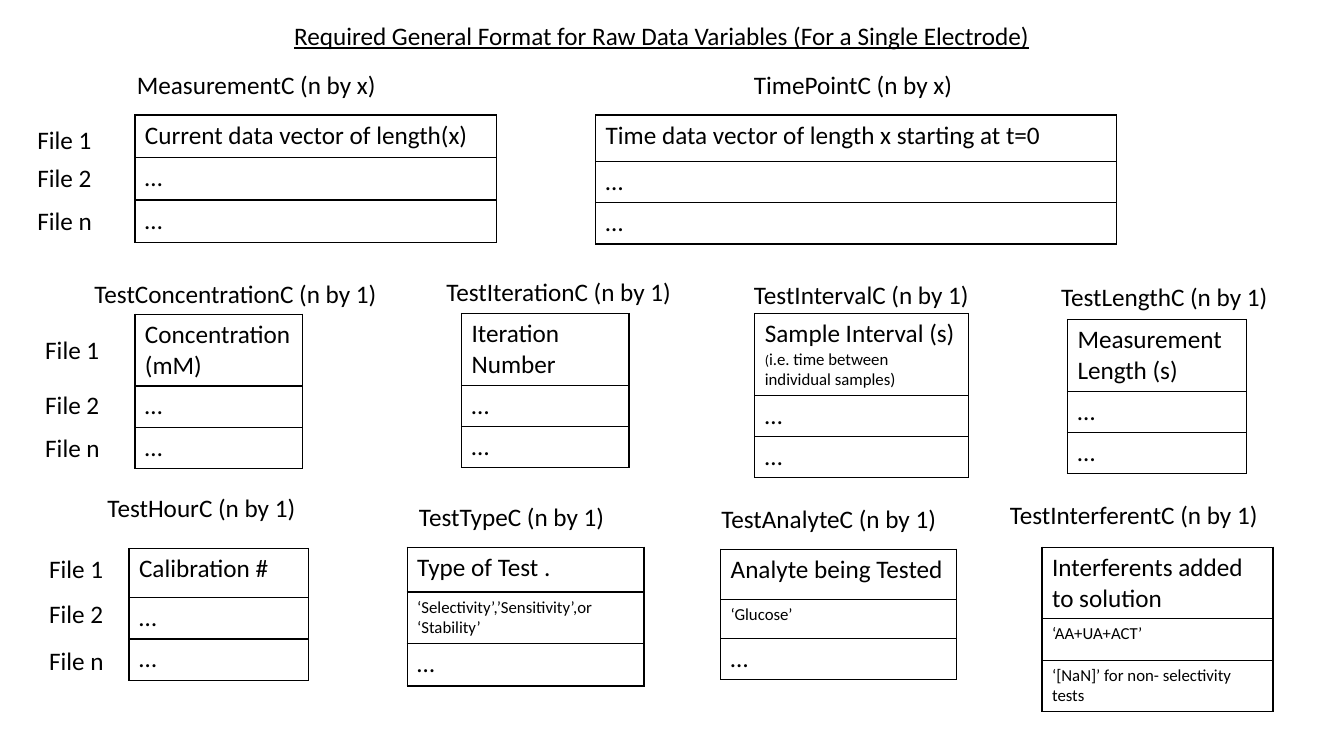
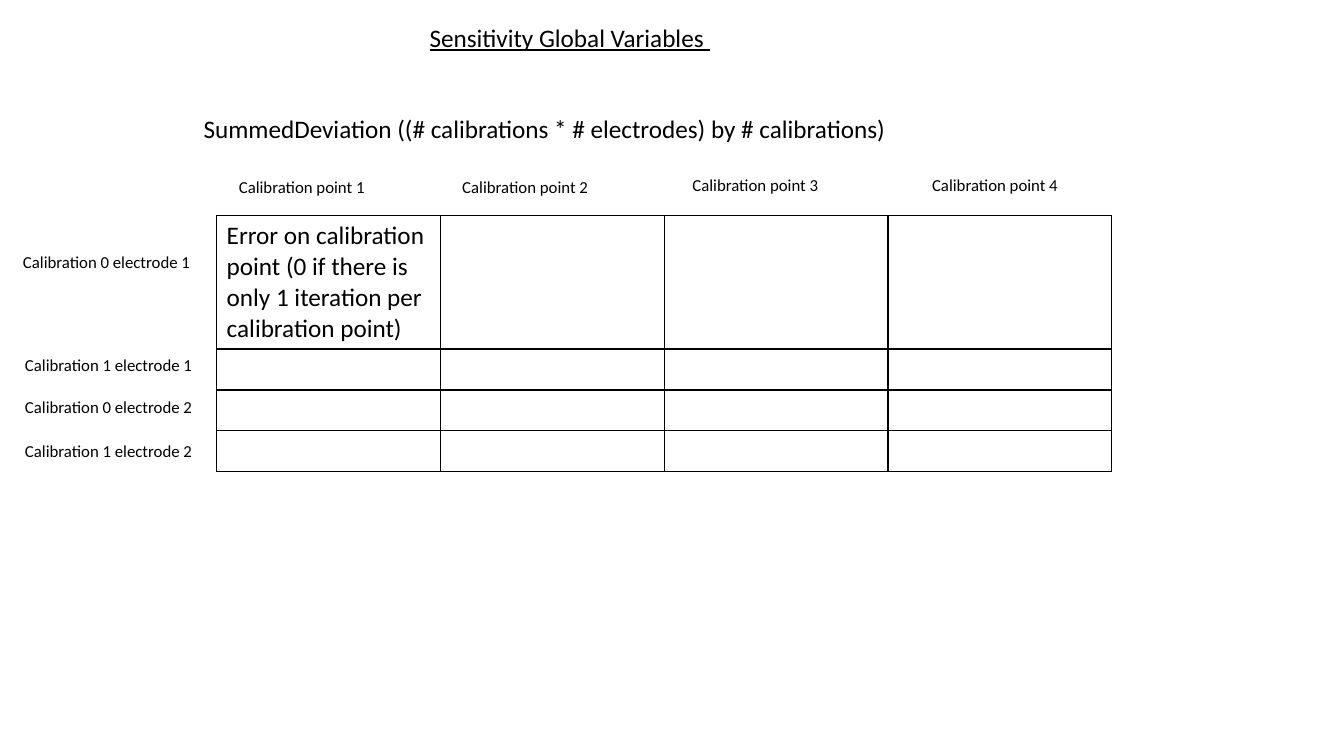
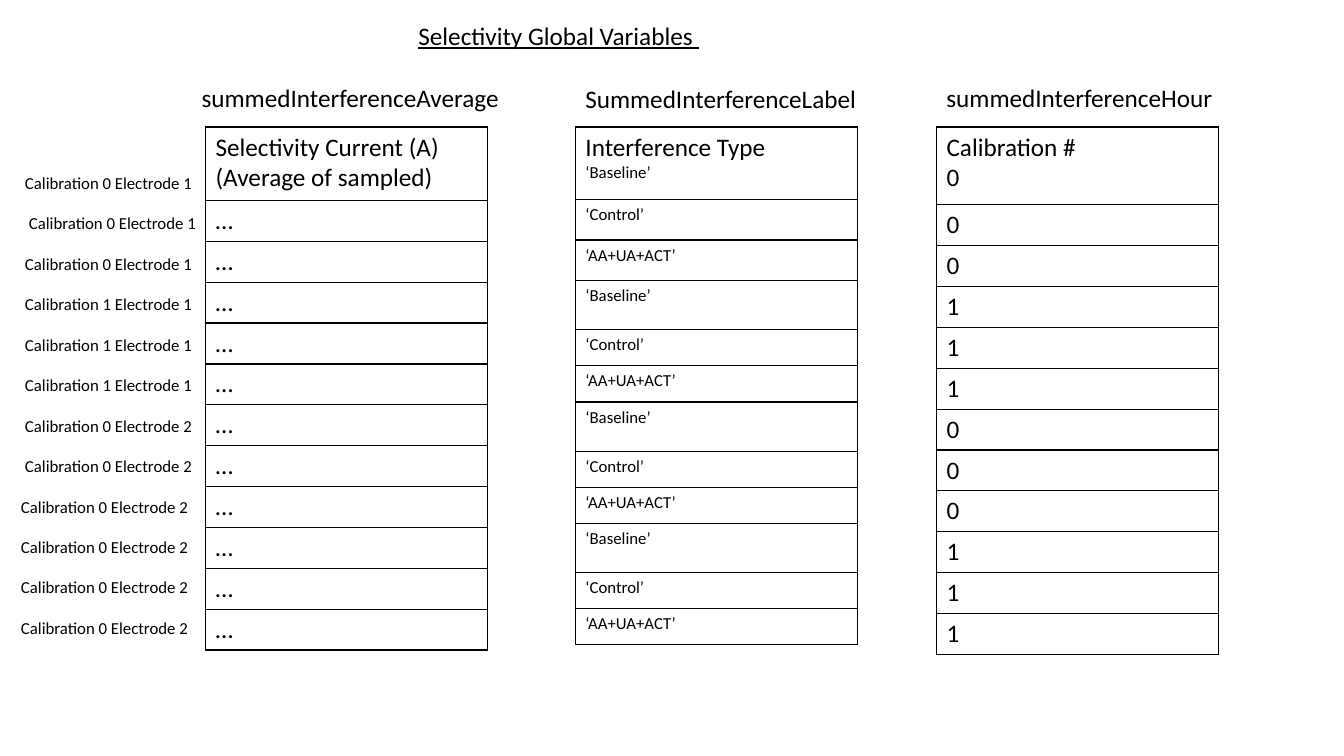
from lxml.etree import fromstring
from pptx import Presentation
from pptx.dml.color import RGBColor
from pptx.enum.text import MSO_ANCHOR, MSO_AUTO_SIZE, PP_ALIGN
from pptx.util import Cm, Pt

COLORS = {"text": "000000", "border": "000000"}
FONT = "Calibri"
BODY, SMALL = 18, 12
NS = "http://schemas.openxmlformats.org/drawingml/2006/main"
DOTS = "…"

prs = Presentation()
prs.slide_width, prs.slide_height = Cm(33.87), Cm(19.05)


def write(tf, text, size=BODY, underline=None, new_line=False):
    """Append a formatted run, optionally in a new paragraph."""
    p = tf.add_paragraph() if new_line else tf.paragraphs[-1]
    p.alignment = PP_ALIGN.LEFT
    r = p.add_run()
    r.text = text
    r.font.name, r.font.size, r.font.underline = FONT, Pt(size), underline
    r.font.color.rgb = RGBColor.from_string(COLORS["text"])


def add_grid(s, left, top, col_width, heights, rows, sizes=None):
    """Add an unfilled table with thin borders; sizes holds one text size per row."""
    sizes = sizes or [BODY] * len(rows)
    cols = len(rows[0])
    table = s.shapes.add_table(len(rows), cols, Cm(left), Cm(top),
                               Cm(col_width * cols), Cm(sum(heights))).table
    table.first_row = table.horz_banding = False
    for col in table.columns:
        col.width = Cm(col_width)
    for row, height, texts, size in zip(table.rows, heights, rows, sizes):
        row.height = Cm(height)
        for cell, text in zip(row.cells, texts):
            cell.fill.background()
            for i, side in enumerate(("lnL", "lnR", "lnT", "lnB")):
                cell._tc.get_or_add_tcPr().insert(i, fromstring(
                    f'<a:{side} xmlns:a="{NS}" w="{Pt(1)}"><a:solidFill>'
                    f'<a:srgbClr val="{COLORS["border"]}"/></a:solidFill></a:{side}>'))
            if text:
                write(cell.text_frame, text, size=size)
    return table


# Slides and titles: text, left, top, width
titles = [
    ("Required General Format for Raw Data Variables (For a Single Electrode)",
     7.16, 0.38, 20.47),
    ("Sensitivity Global Variables ", 10.57, 0.43, 10.49),
    ("Selectivity Global Variables ", 10.29, 0.38, 10.49),
]
for text, left, top, width in titles:
    s = prs.slides.add_slide(prs.slide_layouts[5])
    title = s.shapes.title
    title.left, title.top, title.width, title.height = Cm(left), Cm(top), Cm(width), Cm(1.03)
    tf = title.text_frame
    tf.auto_size, tf.vertical_anchor = MSO_AUTO_SIZE.NONE, MSO_ANCHOR.TOP
    write(tf, text, underline=True)
raw, sensitivity, selectivity = prs.slides

# Labels of all slides: slide, text, left, top, width, size
labels = []

# Raw data variables: name, label place, table place, row heights, cell texts, sizes
variables = [
    ("MeasurementC (n by x)", (3.2, 1.63), (3.4, 2.9, 9.12), (1.07, 1.07, 1.07),
     ("Current data vector of length(x)", DOTS, DOTS), None),
    ("TimePointC (n by x)", (18.75, 1.63), (15.01, 2.9, 13.13), (1.17, 1.04, 1.04),
     ("Time data vector of length x starting at t=0", DOTS, DOTS), None),
    ("TestConcentrationC (n by 1)", (2.13, 6.88), (3.4, 7.92, 4.22), (1.78, 1.04, 1.04),
     ("Concentration (mM)", DOTS, DOTS), None),
    ("TestIterationC (n by 1)", (11, 6.83), (11.63, 7.9, 4.22), (1.78, 1.04, 1.04),
     ("Iteration Number", DOTS, DOTS), None),
    ("TestIntervalC (n by 1)", (18.75, 6.91), (19.02, 7.9, 5.38), (2.03, 1.04, 1.04),
     ("Sample Interval (s) ", DOTS, DOTS), None),
    ("TestLengthC (n by 1)", (26.49, 6.96), (26.9, 8.05, 4.52), (1.78, 1.04, 1.04),
     ("Measurement Length (s)", DOTS, DOTS), None),
    ("TestHourC (n by 1)", (2.46, 12.29), (3.25, 13.82, 4.52), (1.24, 1.04, 1.04),
     ("Calibration #", DOTS, DOTS), None),
    ("TestTypeC (n by 1)", (10.31, 12.52), (10.26, 13.79, 5.97), (1.13, 1.28, 1.08),
     ("Type of Test .", "‘Selectivity’,’Sensitivity’,or ‘Stability’", DOTS),
     (BODY, SMALL, BODY)),
    ("TestAnalyteC (n by 1)", (17.93, 12.57), (18.16, 13.84, 5.94), (1.27, 0.97, 1.04),
     ("Analyte being Tested", "‘Glucose’", DOTS), (BODY, SMALL, BODY)),
    ("TestInterferentC (n by 1)", (25.2, 12.47), (26.26, 13.79, 5.82), (1.78, 1.04, 1.29),
     ("Interferents added to solution", "‘AA+UA+ACT’", "‘[NaN]’ for non- selectivity tests"),
     (BODY, SMALL, SMALL)),
]
for name, (x, y), place, heights, texts, sizes in variables:
    labels.append((raw, name, x, y, 8.03, BODY))
    table = add_grid(raw, *place, heights, [(text,) for text in texts], sizes)
    if name.startswith("TestInterval"):
        tf = table.cell(0, 0).text_frame
        write(tf, "(", size=10)
        write(tf, "i.e. time between individual samples)", size=SMALL)

# File labels beside each band of raw data tables
for left, tops in ((0.69, (3, 3.96, 5.05)), (0.89, (8.31, 9.68, 10.77)),
                   (0.99, (13.82, 14.96, 16.13))):
    for number, top in zip("12n", tops):
        labels.append((raw, f"File {number}", left, top, 2.5, BODY))

# Sensitivity: deviation per calibration point and electrode
first_row = ("Error on calibration point (0 if there is only 1 iteration per calibration point)",
             "", "", "")
add_grid(sensitivity, 5.46, 5.44, 5.64, [3.31] + [1.03] * 3, [first_row] + [[""] * 4] * 3)
labels.append((sensitivity, "SummedDeviation ((# calibrations * # electrodes) by # calibrations)",
               4.88, 2.74, 20.52, BODY))
for i, (left, top) in enumerate(((5.77, 4.34), (11.4, 4.34), (17.2, 4.29), (23.24, 4.29))):
    labels.append((sensitivity, f"Calibration point {i + 1}", left, top, 4.8, SMALL))
for i, (left, top) in enumerate(((0.33, 6.22), (0.38, 8.81), (0.38, 9.88), (0.38, 10.97))):
    labels.append((sensitivity, f"Calibration {i % 2} electrode {i // 2 + 1}",
                   left, top, 4.8, SMALL))

# Selectivity: three parallel columns of twelve rows
kinds = ["‘Baseline’", "‘Control’", "‘AA+UA+ACT’"] * 4
hours = (["0"] * 3 + ["1"] * 3) * 2
columns = [
    ("summedInterferenceAverage", 4.83, 1.96, 5.18, [1.85] + [1.03] * 11,
     ["Selectivity Current (A) (Average of sampled)"] + [DOTS] * 11, BODY),
    ("SummedInterferenceLabel", 14.5, 1.98, 14.5, [1.83, 1.02, 1.02] + [1.24, 0.91, 0.91] * 3,
     ["Interference Type"] + kinds[1:], SMALL),
    ("summedInterferenceHour", 23.6, 1.96, 23.6, [1.96] + [1.03] * 11,
     ["Calibration #"] + hours[1:], BODY),
]
first_values = [None, kinds[0], hours[0]]
for (name, x, y, left, heights, texts, size), first in zip(columns, first_values):
    labels.append((selectivity, name, x, y, 8.3, BODY))
    table = add_grid(selectivity, left, 3.2, 7.11, heights, [(text,) for text in texts],
                     [BODY] + [size] * 11)
    if first:
        write(table.cell(0, 0).text_frame, first, size=size, new_line=True)

electrodes = ["0 Electrode 1"] * 3 + ["1 Electrode 1"] * 3 + ["0 Electrode 2"] * 6
lefts = [0.38, 0.48] + [0.38] * 6 + [0.28] * 4
for i, (electrode, left) in enumerate(zip(electrodes, lefts)):
    labels.append((selectivity, f"Calibration {electrode}", left, 4.22 + 1.02 * i, 4.9, SMALL))

# Draw the labels
for s, text, left, top, width, size in labels:
    height = 1.03 if size == BODY else 0.77
    tf = s.shapes.add_textbox(Cm(left), Cm(top), Cm(width), Cm(height)).text_frame
    tf.word_wrap = True
    write(tf, text, size=size)

prs.save("out.pptx")
